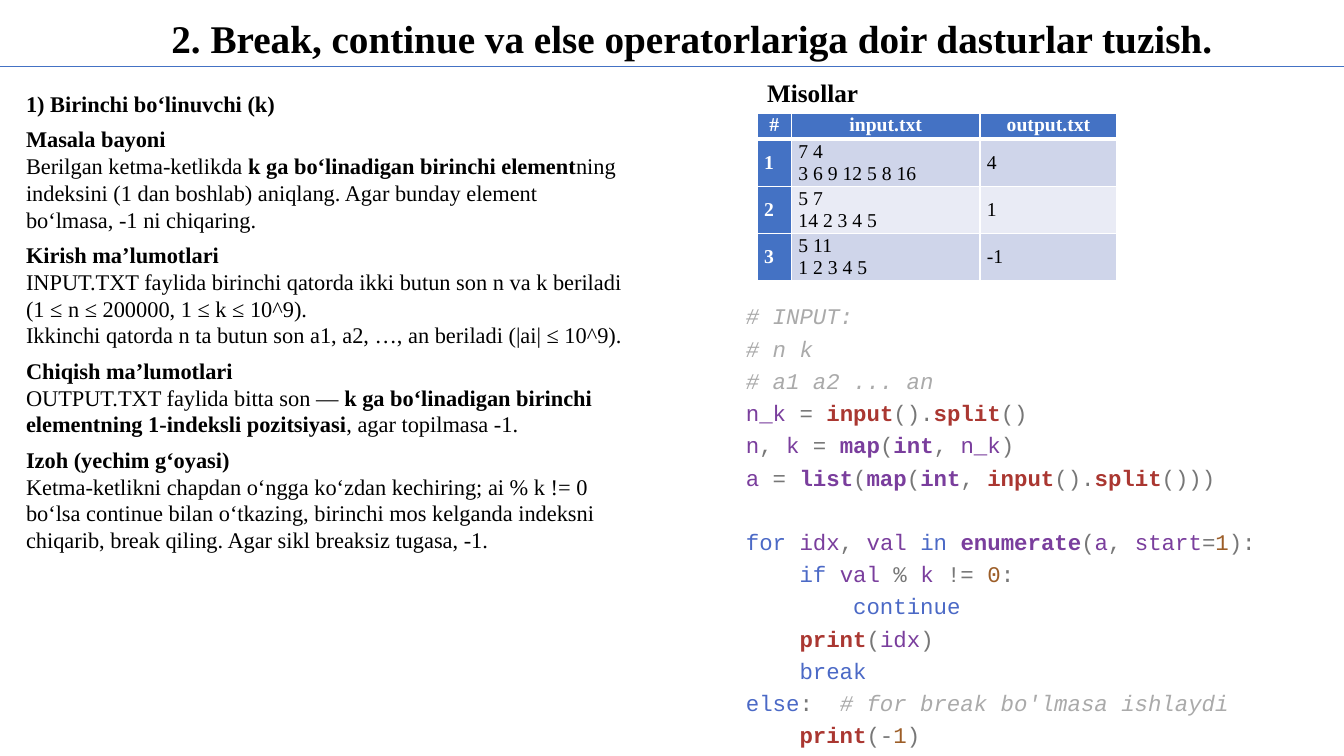
from itertools import groupby

from lxml.etree import SubElement
from pptx import Presentation
from pptx.dml.color import RGBColor
from pptx.enum.shapes import MSO_CONNECTOR
from pptx.enum.text import MSO_ANCHOR, MSO_AUTO_SIZE, PP_ALIGN
from pptx.oxml.ns import qn
from pptx.util import Inches, Pt

SERIF = "Times New Roman"
MONO = "Courier New"
BLACK, WHITE, BLUE = "000000", "FFFFFF", "4472C4"
BANDS = ["CFD5EA", "E9EBF5"]

COMMENT, KEYWORD, NAME, CALL, NUMBER, SYMBOL = (
    "AAAAAA", "4B69C6", "7A3E9D", "AA3731", "9C5D27", "777777")
KEYWORDS = {"for", "in", "if", "continue", "break", "else"}
CALLS = {"input", "split", "print"}
BUILTINS = {"map", "int", "list", "enumerate"}

TITLE = "2. Break, continue va else operatorlariga doir dasturlar tuzish."
PROBLEM = [
    "**1) Birinchi bo‘linuvchi (k)**",
    "**Masala bayoni**\nBerilgan ketma-ketlikda **k ga bo‘linadigan birinchi element**ning "
    "indeksini (1 dan boshlab) aniqlang. Agar bunday element bo‘lmasa, -1 ni chiqaring.",
    "**Kirish ma’lumotlari**\nINPUT.TXT faylida birinchi qatorda ikki butun son n va k beriladi "
    "(1 ≤ n ≤ 200000, 1 ≤ k ≤ 10^9).\n"
    "Ikkinchi qatorda n ta butun son a1, a2, …, an beriladi (|ai| ≤ 10^9).",
    "**Chiqish ma’lumotlari**\nOUTPUT.TXT faylida bitta son — **k ga bo‘linadigan birinchi "
    "elementning 1-indeksli pozitsiyasi**, agar topilmasa -1.",
    "**Izoh (yechim g‘oyasi)**\nKetma-ketlikni chapdan o‘ngga ko‘zdan kechiring; ai % k != 0 "
    "bo‘lsa continue bilan o‘tkazing, birinchi mos kelganda indeksni chiqarib, break qiling. "
    "Agar sikl breaksiz tugasa, -1.",
]
EXAMPLES = [
    ["#", "input.txt", "output.txt"],
    ["1", "7 4\n3 6 9 12 5 8 16", "4"],
    ["2", "5 7\n14 2 3 4 5", "1"],
    ["3", "5 11\n1 2 3 4 5", "-1"],
]
CODE = """# INPUT:
# n k
# a1 a2 ... an
n_k = input().split()
n, k = map(int, n_k)
a = list(map(int, input().split()))
 
for idx, val in enumerate(a, start=1):
    if val % k != 0:
        continue
    print(idx)
    break
else:  # for break bo'lmasa ishlaydi
    print(-1)"""


def color(value):
    return RGBColor.from_string(value)


def style(span, font, size, fill=BLACK, bold=False, italic=False):
    span.font.name = font
    span.font.size = Pt(size)
    span.font.color.rgb = color(fill)
    span.font.bold = bold
    span.font.italic = italic


def add_span(para, text, *look):
    span = para.add_run()
    span.text = text
    style(span, *look)


def add_box(page, left, top, width, height):
    box = page.shapes.add_textbox(Inches(left), Inches(top), Inches(width), Inches(height))
    box.text_frame.word_wrap = True
    return box.text_frame


def add_paragraphs(frame, texts):
    for index, text in enumerate(texts):
        yield (frame.add_paragraph() if index else frame.paragraphs[0]), text


def add_title(page, left, top, width, height):
    title = page.shapes.title
    title.left, title.top = Inches(left), Inches(top)
    title.width, title.height = Inches(width), Inches(height)
    frame = title.text_frame
    frame.text = TITLE
    frame.word_wrap = False
    frame.auto_size = MSO_AUTO_SIZE.NONE
    frame.vertical_anchor = MSO_ANCHOR.TOP
    frame.margin_left = Inches(0.6)
    para = frame.paragraphs[0]
    para.alignment = PP_ALIGN.LEFT
    para.line_spacing = 1.07
    style(para.runs[0], SERIF, 28, BLACK, True)


def add_rule(page, top, width):
    rule = page.shapes.add_connector(
        MSO_CONNECTOR.STRAIGHT, 0, Inches(top), width, Inches(top))
    rule.line.color.rgb = color(BLUE)
    rule.line.width = Pt(0.5)
    SubElement(rule._element.spPr, qn("a:effectLst"))


def add_problem(page, left, top, width, height):
    frame = add_box(page, left, top, width, height)
    frame.vertical_anchor = MSO_ANCHOR.MIDDLE
    frame.margin_top, frame.margin_bottom = Inches(0.03), 0
    for index, (para, text) in enumerate(add_paragraphs(frame, PROBLEM)):
        para.space_before = Pt(6 if index else 0)
        for part, passage in enumerate(text.split("**")):
            for number, line in enumerate(passage.split("\n")):
                if number:
                    para.add_line_break()
                if line:
                    add_span(para, line, SERIF, 16, BLACK, part % 2 == 1)


def add_border(cell, side, width):
    border = SubElement(cell._tc.get_or_add_tcPr(), qn(f"a:{side}"), w=str(Pt(width)))
    fill = SubElement(border, qn("a:solidFill"))
    SubElement(fill, qn("a:srgbClr"), val=WHITE)


def fill_cell(cell, text, row, column):
    heading = row == 0 or column == 0
    cell.text = text
    cell.margin_left = cell.margin_right = Inches(0.07)
    cell.margin_top = cell.margin_bottom = 0
    cell.vertical_anchor = MSO_ANCHOR.MIDDLE if row else MSO_ANCHOR.TOP
    for side in ("lnL", "lnR", "lnT", "lnB"):
        add_border(cell, side, 3 if row == 0 and side == "lnB" else 1)
    cell.fill.solid()
    cell.fill.fore_color.rgb = color(BLUE if heading else BANDS[(row - 1) % 2])
    for para in cell.text_frame.paragraphs:
        para.alignment = PP_ALIGN.LEFT if row else PP_ALIGN.CENTER
        style(para.runs[0], SERIF, 14, WHITE if heading else BLACK, heading)


def add_examples(page, left, top, width, height):
    caption = add_box(page, left, top, 1.11, 0.4)
    caption.word_wrap = False
    caption.text = "Misollar"
    style(caption.paragraphs[0].runs[0], SERIF, 18, BLACK, True)

    grid_top = top + 0.41
    table = page.shapes.add_table(
        len(EXAMPLES), len(EXAMPLES[0]), Inches(left), Inches(grid_top),
        Inches(width), Inches(height - 0.41)).table
    for column, size in zip(table.columns, (0.34, 1.87, 1.36)):
        column.width = Inches(size)
    for row, size in zip(table.rows, (0.25, 0.46, 0.46, 0.46)):
        row.height = Inches(size)
    for row, texts in enumerate(EXAMPLES):
        for column, text in enumerate(texts):
            fill_cell(table.cell(row, column), text, row, column)


def is_word(letter):
    return letter.isalnum() or letter == "_"


def token_look(token):
    if token in KEYWORDS:
        return KEYWORD, False
    if token in CALLS:
        return CALL, True
    if token.isdigit():
        return NUMBER, False
    if is_word(token[0]):
        return NAME, token in BUILTINS
    return SYMBOL, False


def add_code(page, left, top, width, height):
    frame = add_box(page, left, top, width, height)
    for para, line in add_paragraphs(frame, CODE.split("\n")):
        para.line_spacing = 1.2
        statement, mark, remark = line.partition("#")
        for _, letters in groupby(statement, is_word):
            token = "".join(letters)
            add_span(para, token, MONO, 16, *token_look(token))
        if mark:
            add_span(para, mark + remark, MONO, 16, COMMENT, False, True)


def main():
    deck = Presentation()
    deck.slide_width, deck.slide_height = Inches(13.33), Inches(7.5)
    page = deck.slides.add_slide(deck.slide_layouts[5])
    add_rule(page, 0.66, deck.slide_width)
    add_title(page, 1.1, 0.06, 11.14, 0.58)
    add_problem(page, 0.16, 0.84, 6.15, 4.67)
    add_examples(page, 7.51, 0.72, 3.57, 2.04)
    add_code(page, 7.3, 2.9, 5.47, 4.6)
    deck.save("out.pptx")


if __name__ == "__main__":
    main()
